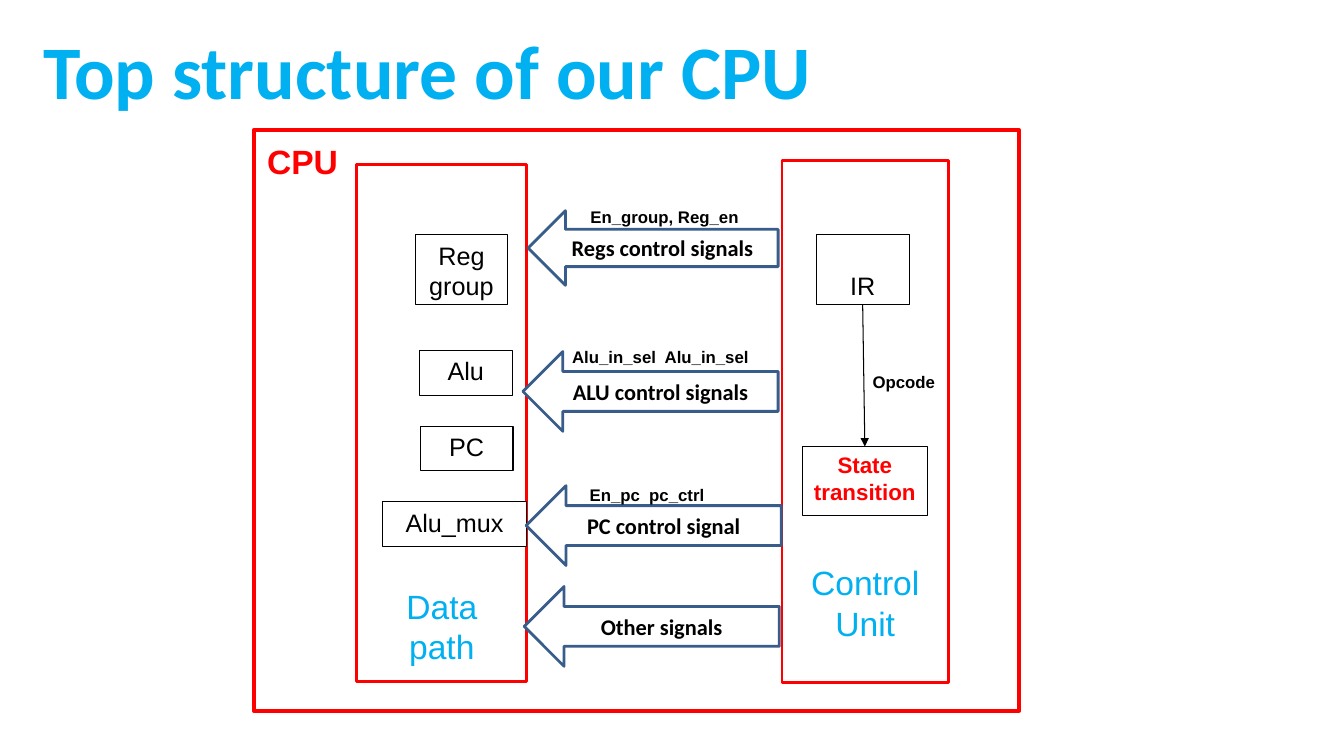
from collections import namedtuple

from lxml.etree import SubElement
from pptx import Presentation
from pptx.dml.color import RGBColor
from pptx.enum.shapes import MSO_CONNECTOR, MSO_SHAPE
from pptx.enum.text import MSO_ANCHOR, MSO_AUTO_SIZE, PP_ALIGN
from pptx.oxml.ns import qn
from pptx.util import Cm, Pt

COLOURS = {"blue": "00B0F0", "red": "FF0000", "arrow": "385D8A",
           "black": "000000", "white": "FFFFFF"}
Box = namedtuple("Box", "left top width height")


def colour(name):
    """Return the named colour."""
    return RGBColor.from_string(COLOURS[name])


def inside(box, left, top, width, height):
    """Return a box given by its offset within another box."""
    return Box(box.left + left, box.top + top, width, height)


def write(shape, text, size, ink="black", bold=False, font="Arial",
          align=PP_ALIGN.CENTER, anchor=MSO_ANCHOR.TOP):
    """Fill a shape with text, one paragraph a line."""
    frame = shape.text_frame
    frame.text = text
    frame.word_wrap = True
    frame.auto_size = MSO_AUTO_SIZE.NONE
    frame.vertical_anchor = anchor
    for para in frame.paragraphs:
        para.alignment = align
        para.font.name = font
        para.font.size = Pt(size)
        para.font.bold = bold
        para.font.color.rgb = colour(ink)
    return frame


def draw_shape(page, kind, box, line, weight, fill=None):
    """Draw an outlined preset shape."""
    shape = page.shapes.add_shape(kind, *map(Cm, box))
    shape.shadow.inherit = False
    shape.line.color.rgb = colour(line)
    shape.line.width = Pt(weight)
    if fill:
        shape.fill.solid()
        shape.fill.fore_color.rgb = colour(fill)
    else:
        shape.fill.background()
    return shape


def draw_label(page, box, text, size=12, ink="black"):
    """Place a bold label without an outline."""
    label = page.shapes.add_textbox(*map(Cm, box))
    write(label, text, size, ink, bold=True, align=PP_ALIGN.LEFT)


def draw_block(page, box, text, size=18, ink="black", bold=False):
    """Draw a white hardware block with its name."""
    block = draw_shape(page, MSO_SHAPE.RECTANGLE, box, "black", 0.75, "white")
    return write(block, text, size, ink, bold)


def draw_unit(page, box, name, bottom_margin):
    """Draw the red frame of a unit with its name near the bottom."""
    unit = draw_shape(page, MSO_SHAPE.RECTANGLE, box, "red", 2)
    frame = write(unit, name, 24, "blue", anchor=MSO_ANCHOR.BOTTOM)
    frame.margin_bottom = Cm(bottom_margin)


def draw_data_path(page, box):
    """Draw the data path and its blocks."""
    draw_unit(page, box, "Data\npath", 0.38)
    for name, *place in (("Reg group", 1.47, 1.78, 2.34, 1.75),
                         ("Alu", 1.58, 4.7, 2.34, 1.12),
                         ("PC", 1.6, 6.6, 2.34, 1.12),
                         ("Alu_mux", 0.66, 8.51, 3.61, 1.12)):
        draw_block(page, inside(box, *place), name)


def draw_control_unit(page, box):
    """Draw the control unit, from instruction register to state machine."""
    draw_unit(page, box, "Control\nUnit", 1)
    register = inside(box, 0.86, 1.88, 2.34, 1.75)
    state = inside(box, 0.51, 7.21, 3.15, 1.75)
    frame = draw_block(page, register, "IR")
    frame.vertical_anchor = MSO_ANCHOR.BOTTOM
    frame.margin_bottom = Cm(0.1)
    draw_block(page, state, "State\ntransition", 16, "red", bold=True)
    arrow = page.shapes.add_connector(
        MSO_CONNECTOR.STRAIGHT,
        Cm(register.left + register.width / 2), Cm(register.top + register.height),
        Cm(state.left + state.width / 2), Cm(state.top))
    arrow.line.color.rgb = colour("black")
    arrow.line.width = Pt(0.75)
    SubElement(arrow.line._get_or_add_ln(), qn("a:tailEnd"), type="triangle")
    SubElement(arrow._element.spPr, qn("a:effectLst"))
    draw_label(page, inside(box, 2.03, 5.21, 2.31, 0.76), "Opcode")


def draw_signals(page, box):
    """Draw the signal arrows that run from control unit to data path."""
    for name, *place in (("Regs control signals", 6.91, 2.03, 6.3, 1.88),
                         ("ALU control signals", 6.78, 5.58, 6.43, 2.01),
                         ("PC control signal", 6.86, 8.96, 6.43, 2.01),
                         ("Other signals", 6.81, 11.5, 6.43, 2.01)):
        arrow = draw_shape(page, MSO_SHAPE.LEFT_ARROW, inside(box, *place),
                           "arrow", 2, "white")
        write(arrow, name, 16, bold=True, font="Calibri", anchor=MSO_ANCHOR.MIDDLE)
    for name, left, top in (("En_group, Reg_en", 8.23, 1.8),
                            ("Alu_in_sel  Alu_in_sel", 7.77, 5.33),
                            ("En_pc  pc_ctrl", 8.21, 8.81)):
        draw_label(page, inside(box, left, top, 5, 0.76), name)


def draw_cpu(page, box):
    """Draw the whole processor."""
    draw_data_path(page, inside(box, 2.59, 0.86, 4.29, 13.03))
    draw_control_unit(page, inside(box, 13.31, 0.76, 4.19, 13.16))
    draw_shape(page, MSO_SHAPE.RECTANGLE, box, "red", 3)
    draw_label(page, inside(box, 0.08, 0.15, 2.44, 1.27), "CPU", 24, "red")
    draw_signals(page, box)


def draw_title(page, box):
    """Move and format the title."""
    title = page.shapes.title
    title.left, title.top, title.width, title.height = map(Cm, box)
    frame = write(title, "Top structure of our CPU", 54, "blue", True, "Calibri",
                  PP_ALIGN.LEFT, MSO_ANCHOR.MIDDLE)
    frame.paragraphs[0].line_spacing = 0.9


def main():
    """Build and save the deck."""
    deck = Presentation()
    deck.slide_width, deck.slide_height = Cm(33.87), Cm(19.05)
    page = deck.slides.add_slide(deck.slide_layouts.get_by_name("Title Only"))
    draw_title(page, Box(0.84, 0.05, 29.21, 3.68))
    draw_cpu(page, Box(6.4, 3.28, 19.28, 14.63))
    deck.save("out.pptx")


if __name__ == "__main__":
    main()
